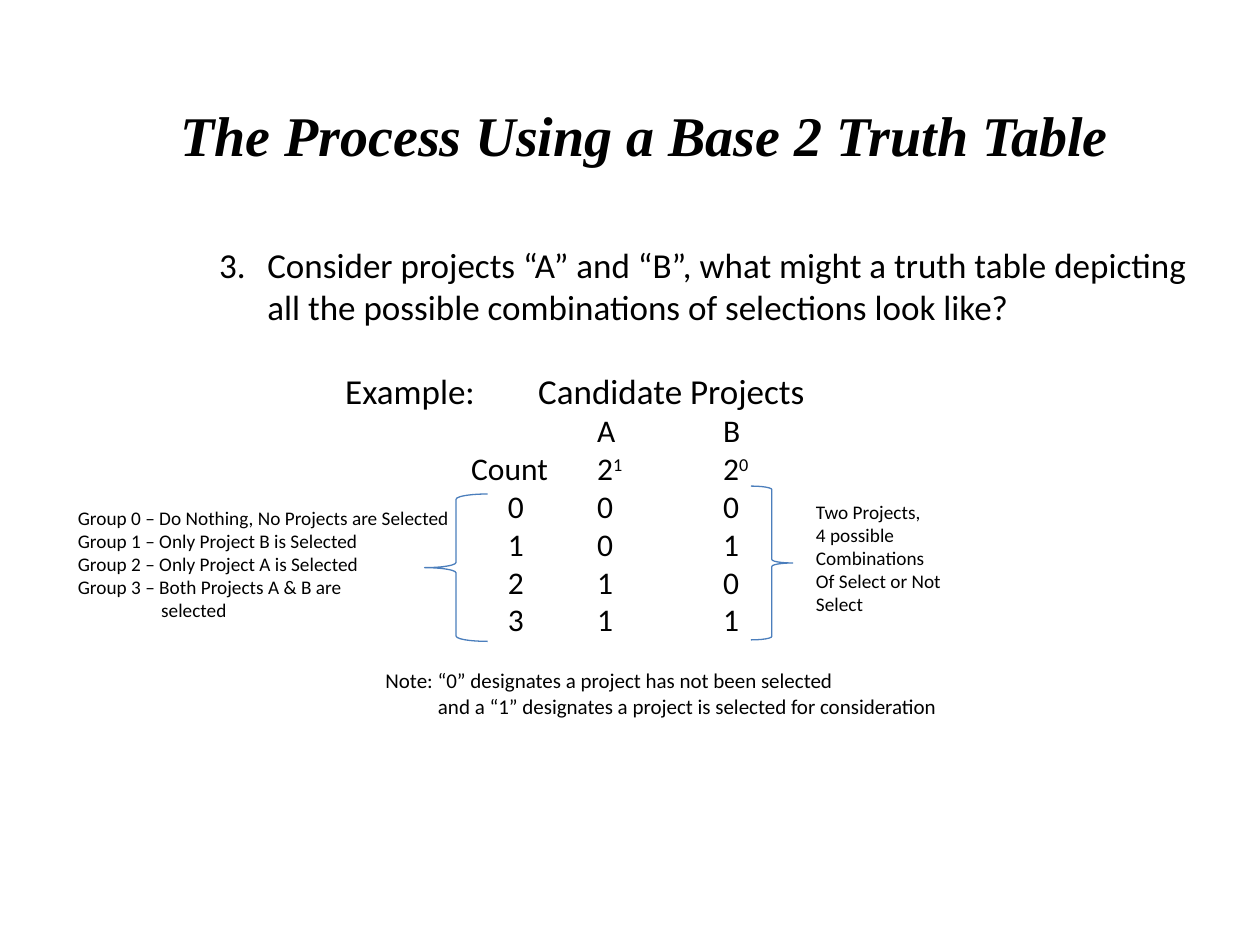
from dataclasses import dataclass

from lxml import etree
from pptx import Presentation
from pptx.dml.color import RGBColor
from pptx.enum.shapes import MSO_SHAPE
from pptx.enum.text import MSO_ANCHOR, MSO_AUTO_SIZE, PP_ALIGN
from pptx.oxml.ns import qn
from pptx.util import Cm, Pt

LEFT_BRACE = MSO_SHAPE.LEFT_BRACE
RIGHT_BRACE = MSO_SHAPE.RIGHT_BRACE
TOP = MSO_ANCHOR.TOP
NO_AUTOFIT = MSO_AUTO_SIZE.NONE
LEFT = PP_ALIGN.LEFT


@dataclass(frozen=True)
class Theme:
    ink: RGBColor = RGBColor(0x00, 0x00, 0x00)
    brace: RGBColor = RGBColor(0x4B, 0x7E, 0xBC)
    body_font: str = "Calibri"
    title_font: str = "Times New Roman"
    title: int = 32
    question: int = 20
    table: int = 18
    note: int = 12
    caption: int = 11


THEME = Theme()
PROJECT_STOPS = (7.62, 10.16)
COUNT_STOP = 5.08
DIGIT_STOP = 5.82


def place(element, left, top, width, height):
    element.left, element.top = Cm(left), Cm(top)
    element.width, element.height = Cm(width), Cm(height)


def add_run(paragraph, wording, size, font=THEME.body_font):
    run = paragraph.add_run()
    run.text = wording
    run.font.size = Pt(size)
    run.font.name = font
    run.font.color.rgb = THEME.ink
    return run


def add_power(paragraph, exponent, size):
    add_run(paragraph, "\t2", size)
    superscript = add_run(paragraph, exponent, size)
    superscript.font._element.set("baseline", "30000")


def set_indent(paragraph, margin, first_line=0):
    properties = paragraph._p.get_or_add_pPr()
    properties.set("marL", str(Cm(margin)))
    properties.set("indent", str(Cm(first_line)))
    return properties


def set_number(paragraph, start):
    properties = set_indent(paragraph, 0.97, -0.97)
    etree.SubElement(properties, qn("a:buFont"), typeface="+mj-lt")
    etree.SubElement(properties, qn("a:buAutoNum"),
                     type="arabicPeriod", startAt=str(start))


def add_tabbed_row(frame, stops):
    row = frame.add_paragraph()
    tab_list = etree.SubElement(row._p.get_or_add_pPr(), qn("a:tabLst"))
    for stop in stops:
        etree.SubElement(tab_list, qn("a:tab"), pos=str(Cm(stop)), algn="l")
    return row


def add_text_frame(shapes, box, wrap):
    frame = shapes.add_textbox(*map(Cm, box)).text_frame
    frame.word_wrap = wrap
    return frame


def add_lines(shapes, box, lines, size, last_indent=0):
    frame = add_text_frame(shapes, box, False)
    for index, line in enumerate(lines):
        paragraph = frame.add_paragraph() if index else frame.paragraphs[0]
        add_run(paragraph, line, size)
    if last_indent:
        set_indent(frame.paragraphs[-1], last_indent)


def add_brace(shapes, preset, box):
    brace = shapes.add_shape(preset, *map(Cm, box))
    brace.shadow.inherit = False
    brace.fill.background()
    brace.line.color.rgb = THEME.brace
    brace.line.width = Pt(0.75)


def add_braced_caption(slide, preset, brace_box, text_box, lines, last_indent=0):
    group = slide.shapes.add_group_shape()
    add_brace(group.shapes, preset, brace_box)
    add_lines(group.shapes, text_box, lines, THEME.caption, last_indent)


def set_title(slide, wording):
    title = slide.shapes.title
    place(title, 3.38, 1.9, 19.74, 1.63)
    frame = title.text_frame
    frame.word_wrap = False
    frame.auto_size = NO_AUTOFIT
    frame.vertical_anchor = TOP
    heading = frame.paragraphs[0]
    heading.alignment = LEFT
    run = add_run(heading, wording, THEME.title, THEME.title_font)
    run.font.bold = run.font.italic = True


def add_truth_table(slide):
    frame = add_text_frame(slide.shapes, (4.17, 4.78, 20.12, 8.38), True)
    question = frame.paragraphs[0]
    question.space_after = Pt(24)
    set_number(question, 3)
    add_run(question, "Consider projects “A” and “B”, what might a truth table "
            "depicting all the possible combinations of selections look like?",
            THEME.question)

    example = add_tabbed_row(frame, (2.54, 6.43))
    add_run(example, "\tExample:\tCandidate Projects", THEME.question)

    projects = add_tabbed_row(frame, PROJECT_STOPS)
    add_run(projects, "\tA\tB", THEME.table)

    powers = add_tabbed_row(frame, (COUNT_STOP, *PROJECT_STOPS))
    add_run(powers, "\tCount", THEME.table)
    for exponent in "10":
        add_power(powers, exponent, THEME.table)

    for count in range(4):
        row = add_tabbed_row(frame, (DIGIT_STOP, *PROJECT_STOPS))
        add_run(row, f"\t{count}\t{count // 2}\t{count % 2}", THEME.table)


def main():
    deck = Presentation()
    deck.slide_width, deck.slide_height = Cm(25.4), Cm(19.05)
    slide = deck.slides.add_slide(deck.slide_layouts[5])

    set_title(slide, "The Process Using a Base 2 Truth Table")
    add_truth_table(slide)
    add_braced_caption(
        slide, RIGHT_BRACE, (15.14, 9.8, 0.84, 3.1), (16.2, 9.96, 3.12, 2.62),
        ("Two Projects,", "4 possible", "Combinations", "Of Select or Not",
         "Select"))
    add_lines(
        slide.shapes, (7.52, 13.34, 11.76, 1.27),
        ("Note: “0” designates a project has not been selected",
         "and a “1” designates a project is selected for consideration"),
        THEME.note, 1.06)
    add_braced_caption(
        slide, LEFT_BRACE, (8.56, 9.96, 1.27, 2.97), (1.32, 10.08, 8.05, 2.62),
        ("Group 0 – Do Nothing, No Projects are Selected",
         "Group 1 – Only Project B is Selected",
         "Group 2 – Only Project A is Selected",
         "Group 3 – Both Projects A & B are", "selected"), 1.68)

    deck.save("out.pptx")


if __name__ == "__main__":
    main()
